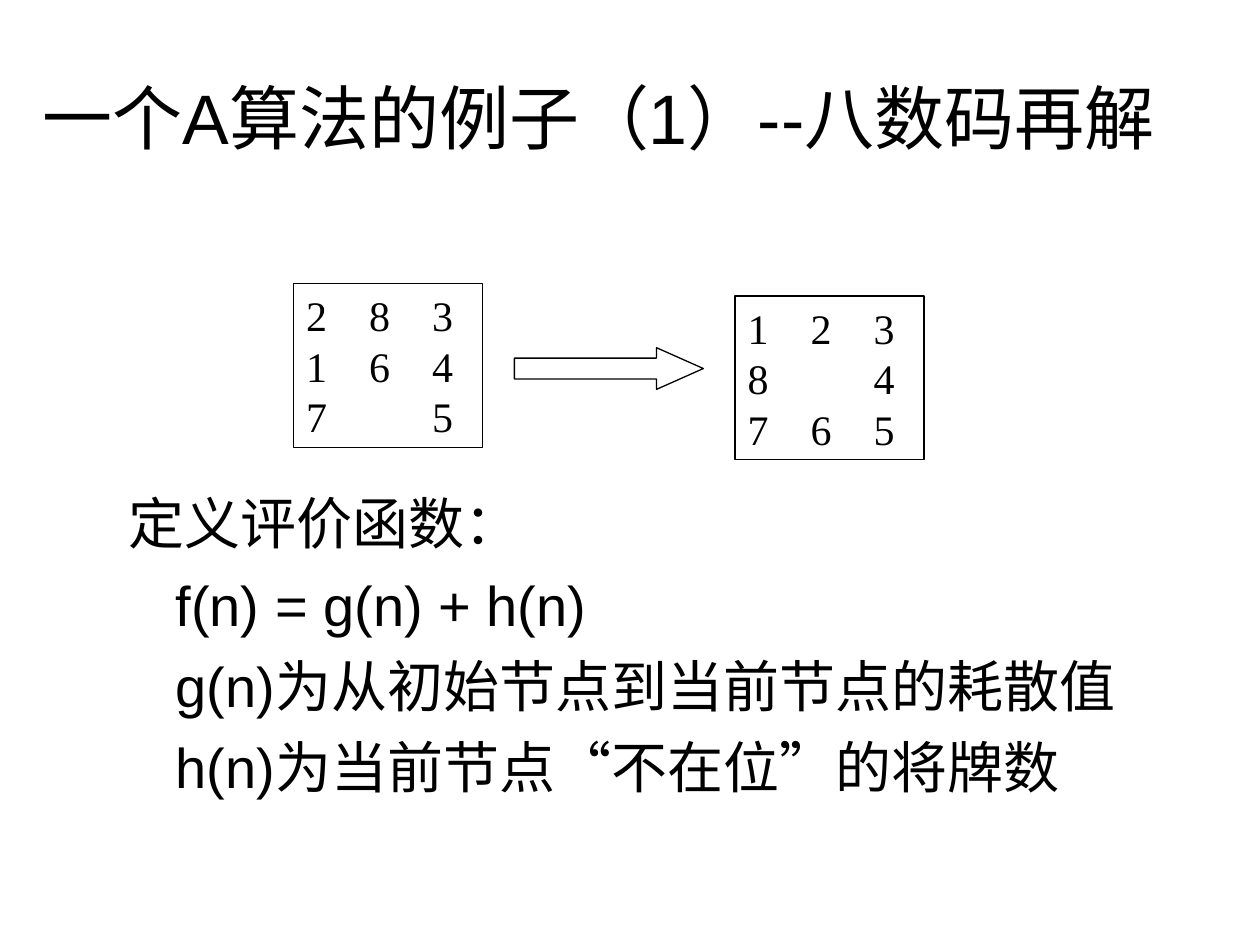
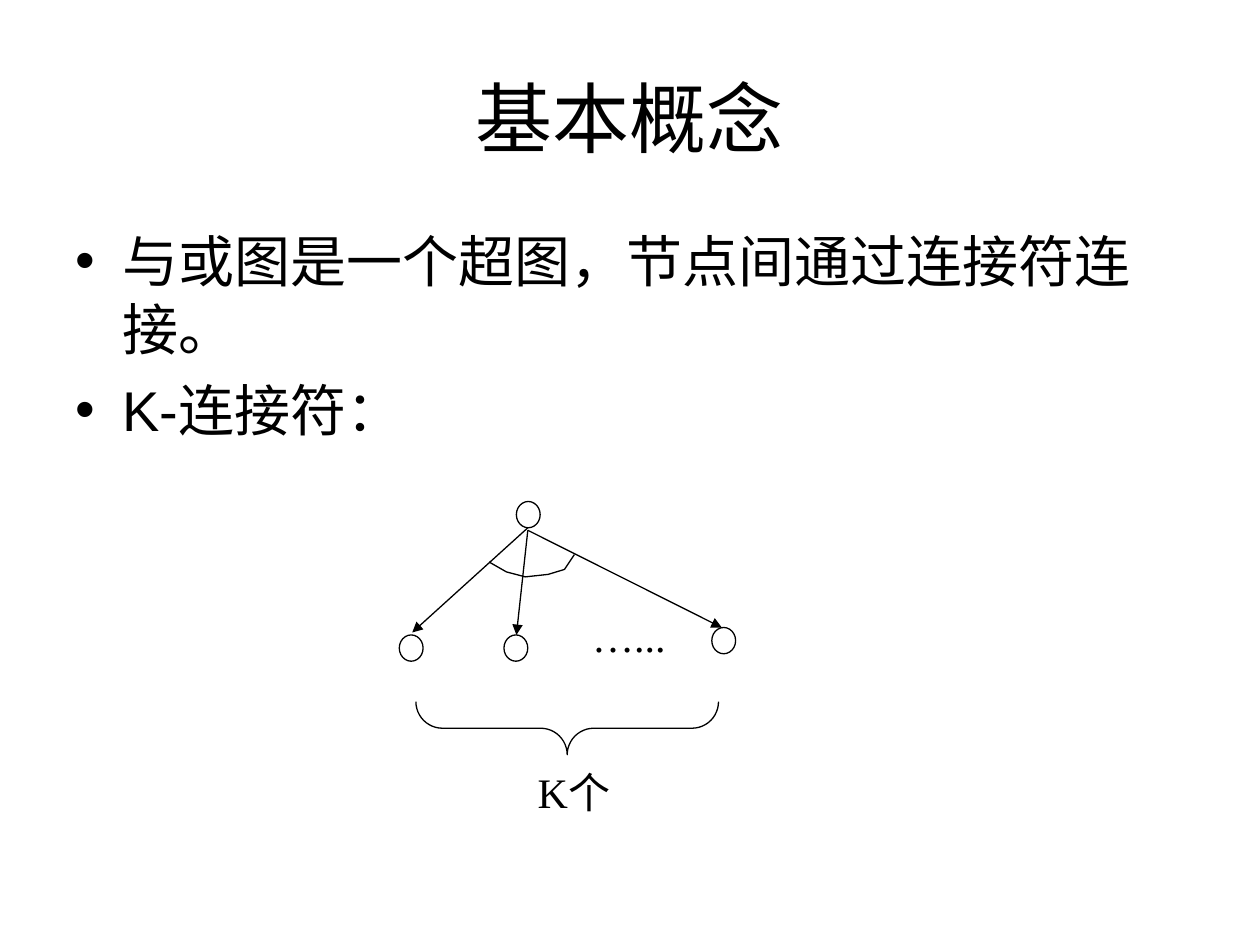
"""Build two slides: an eight-puzzle A-algorithm example and AND/OR graph basics."""
from lxml import etree
from pptx import Presentation
from pptx import util as u
from pptx.dml.color import RGBColor
from pptx.enum import shapes, text
from pptx.oxml.ns import qn

COLORS = {"ink": "000000"}
SANS, SERIF = "Arial", "Times New Roman"
HANG = 0.95

PUZZLE_TITLE = "一个A算法的例子（1）--八数码再解"
EVALUATION = [
    ("定义评价函数：", 0),
    ("f(n) = g(n) + h(n)", HANG),
    ("g(n)为从初始节点到当前节点的耗散值", HANG),
    ("h(n)为当前节点“不在位”的将牌数", HANG),
]
BOARDS = [
    ((5.92, 5.72), ["283", "164", "7 5"]),
    ((14.82, 5.97), ["123", "8 4", "765"]),
]
BOARD_SIZE = (3.81, 3.3)
TILE_STEP = 1.27
MOVE_ARROW = (10.37, 7.01, 3.81, 0.84)

CONCEPT_TITLE = "基本概念"
CONCEPTS = ["与或图是一个超图，节点间通过连接符连接。", "K-连接符："]
NODES = [(10.41, 10.11), (8.05, 12.8), (10.16, 12.8), (14.35, 12.65)]
NODE_SIZE = (0.48, 0.53)
EDGES = [
    ((10.64, 10.64), (8.31, 12.75)),
    ((10.64, 10.69), (10.41, 12.8)),
    ((10.64, 10.69), (14.55, 12.65)),
]
ARC = [(9.86, 11.33), (10.21, 11.53), (10.59, 11.63),
       (11.05, 11.58), (11.38, 11.48), (11.58, 11.18)]
BRACE = (10.9, 11.63, 1.07, 6.1)
LABELS = [("…...", (11.43, 12.19, 2.5, 1.27)), ("K个", (10.32, 15.32, 2.5, 1.27))]


def cm(values):
    return [u.Cm(value) for value in values]


def ink():
    return RGBColor.from_string(COLORS["ink"])


def style(paragraph, name, size):
    paragraph.font.name = name
    paragraph.font.size = u.Pt(size)
    paragraph.font.color.rgb = ink()


def outline(part):
    part.line.color.rgb = ink()
    part.line.width = u.Pt(0.75)


def add_outlined(parent, kind, place):
    part = parent.add_shape(kind, *cm(place))
    part.shadow.inherit = False
    part.fill.background()
    outline(part)
    return part


def add_titled_slide(deck, wording, place, size):
    slide = deck.slides.add_slide(deck.slide_layouts[5])
    title = slide.shapes.title
    title.left, title.top, title.width, title.height = cm(place)
    frame = title.text_frame
    frame.text = wording
    frame.auto_size = text.MSO_AUTO_SIZE.NONE
    frame.vertical_anchor = text.MSO_ANCHOR.MIDDLE
    frame.paragraphs[0].alignment = text.PP_ALIGN.CENTER
    style(frame.paragraphs[0], SANS, size)
    return slide


def add_body(slide, lines, place, bullet=None):
    frame = slide.shapes.add_textbox(*cm(place)).text_frame
    frame.word_wrap = True
    frame.text = "\n".join(wording for wording, _ in lines)
    for index, (paragraph, (_, margin)) in enumerate(zip(frame.paragraphs, lines)):
        properties = paragraph._p.get_or_add_pPr()
        properties.set("marL", str(u.Cm(margin)))
        if bullet:
            properties.set("indent", str(-u.Cm(margin)))
            etree.SubElement(properties, qn("a:buFont"), typeface=SANS)
            etree.SubElement(properties, qn("a:buChar"), char=bullet)
        if index:
            paragraph.space_before = u.Pt(8)
        style(paragraph, SANS, 32)


def add_board(slide, corner, rows):
    board = add_outlined(slide.shapes, shapes.MSO_SHAPE.RECTANGLE, corner + BOARD_SIZE)
    frame = board.text_frame
    frame.vertical_anchor = text.MSO_ANCHOR.MIDDLE
    frame.text = "\n".join("\t".join(row).replace(" ", "") for row in rows)
    for paragraph in frame.paragraphs:
        paragraph.alignment = text.PP_ALIGN.LEFT
        stops = etree.SubElement(paragraph._p.get_or_add_pPr(), qn("a:tabLst"))
        for column in (1, 2):
            etree.SubElement(stops, qn("a:tab"), pos=str(u.Cm(column * TILE_STEP)), algn="l")
        style(paragraph, SERIF, 24)


def add_edge(parent, start, end):
    edge = parent.add_connector(shapes.MSO_CONNECTOR.STRAIGHT, *cm(start + end))
    outline(edge)
    etree.SubElement(edge.line._get_or_add_ln(), qn("a:tailEnd"), type="triangle")
    etree.SubElement(edge._element.spPr, qn("a:effectLst"))


def add_arc(parent, points):
    start, *rest = [cm(point) for point in points]
    builder = parent.build_freeform(*start)
    builder.add_line_segments(rest, close=False)
    arc = builder.convert_to_shape()
    arc.shadow.inherit = False
    arc.fill.background()
    outline(arc)


def add_label(parent, wording, place):
    frame = parent.add_textbox(*cm(place)).text_frame
    frame.word_wrap = False
    frame.auto_size = text.MSO_AUTO_SIZE.SHAPE_TO_FIT_TEXT
    frame.vertical_anchor = text.MSO_ANCHOR.MIDDLE
    frame.text = wording
    frame.paragraphs[0].alignment = text.PP_ALIGN.CENTER
    style(frame.paragraphs[0], SERIF, 24)


def build_puzzle(deck):
    slide = add_titled_slide(deck, PUZZLE_TITLE, (0, 0.76, 24.13, 3.18), 40)
    add_body(slide, EVALUATION, (2.34, 9.73, 21.59, 8.46))
    for corner, rows in BOARDS:
        add_board(slide, corner, rows)
    arrow = add_outlined(slide.shapes, shapes.MSO_SHAPE.RIGHT_ARROW, MOVE_ARROW)
    arrow.adjustments[1] = 1.125


def build_concepts(deck):
    slide = add_titled_slide(deck, CONCEPT_TITLE, (1.27, 0.76, 22.86, 3.18), 44)
    add_body(slide, [(wording, HANG) for wording in CONCEPTS],
             (1.27, 4.45, 22.86, 5.05), bullet="•")
    diagram = slide.shapes.add_group_shape().shapes
    for corner in NODES:
        add_outlined(diagram, shapes.MSO_SHAPE.OVAL, corner + NODE_SIZE)
    for start, end in EDGES:
        add_edge(diagram, start, end)
    add_arc(diagram, ARC)
    brace = add_outlined(diagram, shapes.MSO_SHAPE.LEFT_BRACE, BRACE)
    brace.adjustments[0] = 0.5
    brace.rotation = 270
    for wording, place in LABELS:
        add_label(diagram, wording, place)


def main():
    deck = Presentation()
    deck.slide_width, deck.slide_height = cm((25.4, 19.05))
    build_puzzle(deck)
    build_concepts(deck)
    deck.save("out.pptx")


if __name__ == "__main__":
    main()
